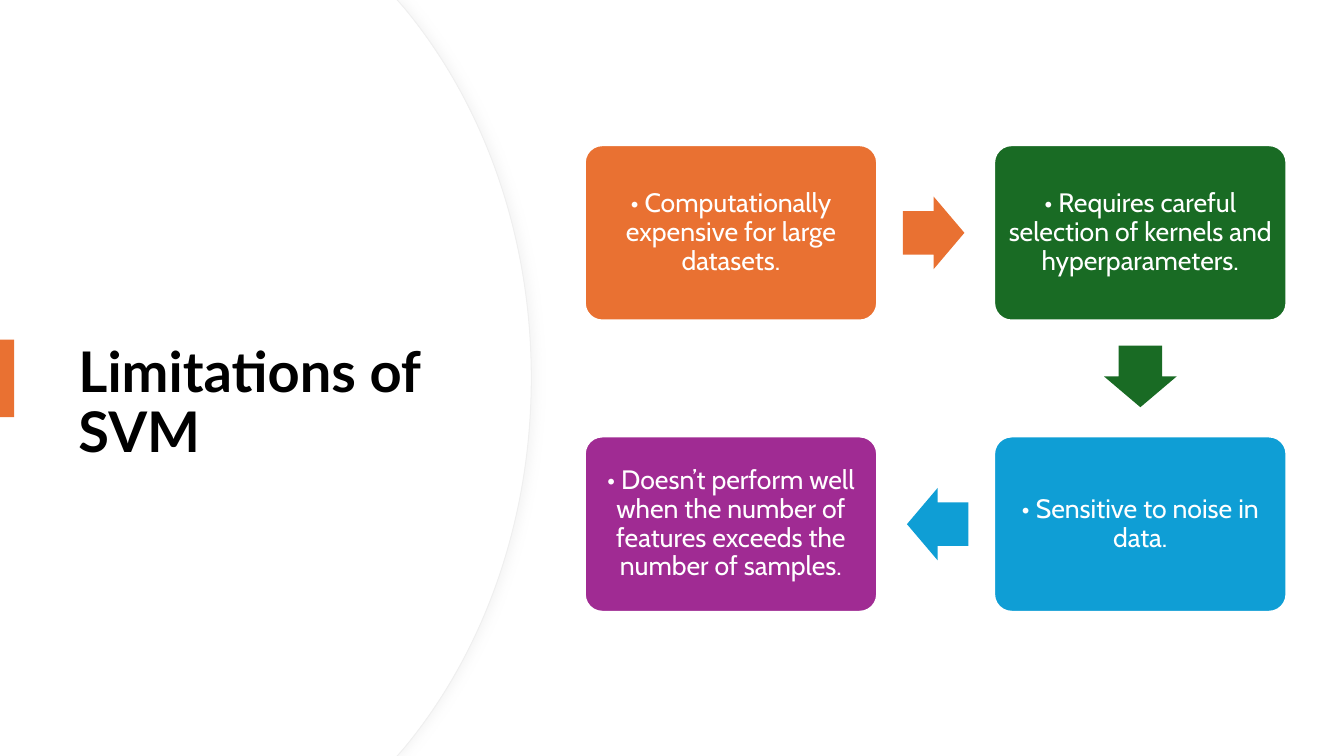
from dataclasses import dataclass
from itertools import pairwise
from math import cos, radians, sin

from lxml.etree import SubElement
from pptx import Presentation
from pptx.dml.color import RGBColor
from pptx.enum.shapes import MSO_SHAPE as Shape
from pptx.enum.text import MSO_ANCHOR as Anchor, PP_ALIGN as Align
from pptx.oxml.ns import qn
from pptx.util import Inches, Pt


@dataclass(frozen=True)
class Theme:
    """Colours, fonts and type sizes of the slide."""
    paper: str = "FFFFFF"
    ink: str = "000000"
    rim: str = "EFEFEF"
    shade: str = "D9D9D9"
    orange: str = "E97132"
    green: str = "196B24"
    blue: str = "0F9ED5"
    purple: str = "A02B93"
    title_font: str = "Lato"
    body_font: str = "Cabin"
    title_size: int = 40
    body_size: int = 19


THEME = Theme()
LIMITATIONS = [
    ("• Computationally expensive for large datasets.", THEME.orange, (0, 0), 0),
    ("• Requires careful selection of kernels and hyperparameters.", THEME.green, (1, 0), 90),
    ("• Sensitive to noise in data.", THEME.blue, (1, 1), 180),
    ("• Doesn’t perform well when the number of features exceeds the number of samples.",
     THEME.purple, (0, 1), None),
]


def paint(shape, fill, line=None, width=0):
    """Give a shape a flat fill, an optional outline and no shadow."""
    shape.shadow.inherit = False
    shape.fill.solid()
    shape.fill.fore_color.rgb = RGBColor.from_string(fill)
    if line:
        shape.line.color.rgb = RGBColor.from_string(line)
        shape.line.width = Pt(width)
    else:
        shape.line.fill.background()


def write(shape, text, font, size, color, align, inset, bold=False):
    """Write one middle-anchored paragraph in a shape."""
    frame = shape.text_frame
    frame.word_wrap = True
    frame.vertical_anchor = Anchor.MIDDLE
    frame.margin_left = frame.margin_right = Inches(inset)
    paragraph = frame.paragraphs[0]
    paragraph.alignment = align
    paragraph.line_spacing = 0.9
    run = paragraph.add_run()
    run.text = text
    run.font.name = font
    run.font.size = Pt(size)
    run.font.bold = bold
    run.font.color.rgb = RGBColor.from_string(color)


def cast_shadow(shape, color):
    """Cast a soft shadow to the right of a shape."""
    effects = shape._element.spPr.find(qn("a:effectLst"))
    shadow = SubElement(effects, qn("a:outerShdw"), blurRad=str(Pt(7)), dist=str(Pt(3)),
                        dir="0", algn="l", rotWithShape="0")
    tint = SubElement(shadow, qn("a:srgbClr"), val=color)
    SubElement(tint, qn("a:alpha"), val="25000")


def bend(shape, first, curves):
    """Turn runs of three line segments, from the first on, into cubic curves."""
    outline = next(shape._element.iter(qn("a:path")))
    segments = outline.findall(qn("a:lnTo"))
    for start in range(first, first + 3 * curves, 3):
        trio = segments[start:start + 3]
        curve = SubElement(outline, qn("a:cubicBezTo"))
        trio[0].addprevious(curve)
        for segment in trio:
            curve.append(segment[0])
            outline.remove(segment)


def add_round_panel(slide, left, top, width, height):
    """Draw a panel whose right side is an arc."""
    right = left + width
    upper = [(right - 1.33, top), (right - 1.26, top + 0.08), (right - 0.48, top + 1.02),
             (right, top + 2.32)]
    lower = [(x, 2 * top + height - y) for x, y in reversed(upper)]
    corners = [*upper, (right, top + height / 2), *lower, (left, top + height)]
    builder = slide.shapes.build_freeform(Inches(left), Inches(top))
    builder.add_line_segments([(Inches(x), Inches(y)) for x, y in corners], close=True)
    panel = builder.convert_to_shape()
    bend(panel, first=2, curves=2)
    return panel


def add_title_region(slide, left, top, width, height):
    """Place the round panel, the accent bar and the title."""
    rim = add_round_panel(slide, left, top, width, height)
    paint(rim, THEME.paper, THEME.rim, 0.75)
    cast_shadow(rim, THEME.shade)
    paint(add_round_panel(slide, left, top, width - 0.01, height), THEME.paper)
    title = slide.shapes.add_textbox(Inches(left + 0.68), Inches(top + 1.27),
                                     Inches(3.94), Inches(4.95))
    title.text_frame.margin_top = Inches(0.58)
    write(title, "Limitations of SVM", THEME.title_font, THEME.title_size,
          THEME.ink, Align.LEFT, 0.1, bold=True)
    accent = slide.shapes.add_shape(Shape.RECTANGLE, Inches(left), Inches(top + 3.37),
                                    Inches(0.14), Inches(0.77))
    paint(accent, THEME.orange)


def add_limitations(slide, left, top, width, height):
    """Lay the cards clockwise in a two-by-two grid, joined by arrows."""
    card_w, card_h = 2.9, 1.74
    arrow_w, arrow_h, arrow_lag = 0.61, 0.72, 0.02
    centers = []
    for text, color, (column, row), _ in LIMITATIONS:
        x = left + column * (width - card_w)
        y = top + row * (height - card_h)
        centers.append((x + card_w / 2, y + card_h / 2))
        card = slide.shapes.add_shape(Shape.ROUNDED_RECTANGLE, Inches(x), Inches(y),
                                      Inches(card_w), Inches(card_h))
        card.adjustments[0] = 0.1
        paint(card, color, THEME.paper, 1.5)
        write(card, text, THEME.body_font, THEME.body_size, THEME.paper, Align.CENTER, 0.08)
    for (_, color, _, angle), (start, end) in zip(LIMITATIONS, pairwise(centers)):
        x = (start[0] + end[0]) / 2 - arrow_lag * cos(radians(angle))
        y = (start[1] + end[1]) / 2 - arrow_lag * sin(radians(angle))
        arrow = slide.shapes.add_shape(Shape.RIGHT_ARROW, Inches(x - arrow_w / 2),
                                       Inches(y - arrow_h / 2), Inches(arrow_w), Inches(arrow_h))
        arrow.adjustments[0], arrow.adjustments[1] = 0.6, 0.5
        arrow.rotation = angle
        paint(arrow, color)


def main():
    """Build the slide and save it."""
    deck = Presentation()
    deck.slide_width, deck.slide_height = Inches(13.33), Inches(7.5)
    slide = deck.slides.add_slide(deck.slide_layouts[6])
    add_title_region(slide, 0, 0, 5.27, 7.5)
    add_limitations(slide, 5.8, 1.44, 6.96, 4.63)
    deck.save("out.pptx")


if __name__ == "__main__":
    main()
